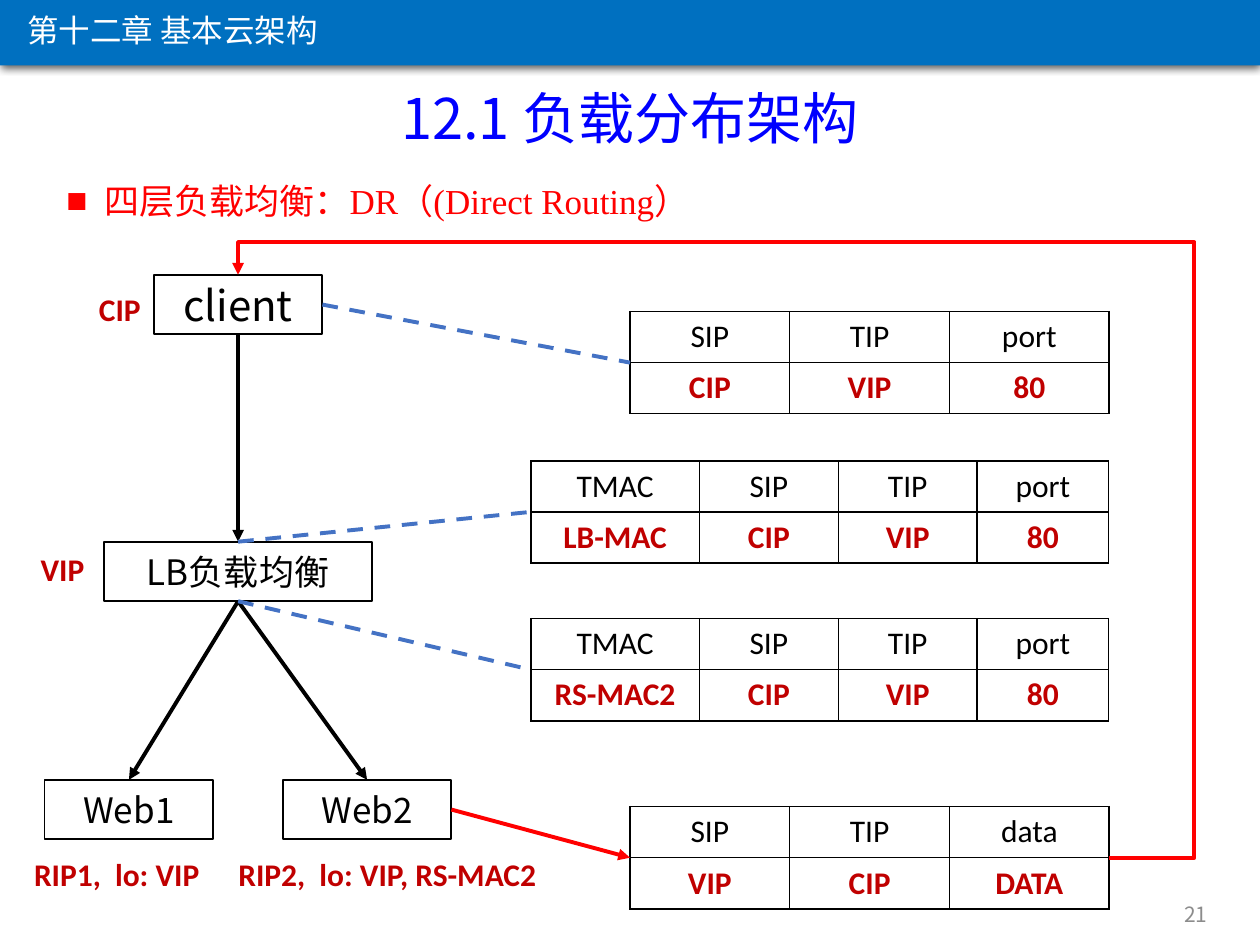
from lxml import etree
from pptx import Presentation
from pptx.dml.color import RGBColor
from pptx.enum.dml import MSO_LINE
from pptx.enum.shapes import MSO_CONNECTOR, MSO_SHAPE
from pptx.enum.text import MSO_ANCHOR, PP_ALIGN
from pptx.oxml.ns import qn
from pptx.util import Cm, Pt

LEFT, CENTER, RIGHT = PP_ALIGN.LEFT, PP_ALIGN.CENTER, PP_ALIGN.RIGHT
TOP, MIDDLE = MSO_ANCHOR.TOP, MSO_ANCHOR.MIDDLE
STRAIGHT, ELBOW = MSO_CONNECTOR.STRAIGHT, MSO_CONNECTOR.ELBOW
RECTANGLE = MSO_SHAPE.RECTANGLE
DASH = MSO_LINE.DASH

SANS, SERIF, LATIN = "Noto Sans CJK SC", "Times New Roman", "Calibri"
COLORS = {
    "white": "FFFFFF", "black": "000000", "banner": "0070C0", "title": "0000FF",
    "red": "FF0000", "address": "C00000", "dash": "4472C4", "number": "8C8C8C",
}
NODE_HEIGHT = 1.2
ROW_HEIGHT = 1.03


def rgb(name):
    return RGBColor.from_string(COLORS[name])


def add_element(parent, tag, **attributes):
    return etree.SubElement(parent, qn(tag), {k: str(v) for k, v in attributes.items()})


def write_text(frame, text, size=18, font=SANS, color="black", bold=False,
               align=CENTER, anchor=TOP, wrap=True):
    frame.word_wrap = wrap
    frame.vertical_anchor = anchor
    paragraph = frame.paragraphs[0]
    paragraph.alignment = align
    run = paragraph.add_run()
    run.text = text
    run.font.size = Pt(size)
    run.font.name = font
    run.font.bold = bold
    run.font.color.rgb = rgb(color)
    add_element(run.font._element, "a:ea", typeface=SANS)
    return paragraph


def add_text(slide, box, text, **text_format):
    shape = slide.shapes.add_textbox(*map(Cm, box))
    return write_text(shape.text_frame, text, **text_format)


def add_rectangle(slide, box, fill, line=None):
    shape = slide.shapes.add_shape(RECTANGLE, *map(Cm, box))
    shape.shadow.inherit = False
    shape.fill.solid()
    shape.fill.fore_color.rgb = rgb(fill)
    if line:
        shape.line.color.rgb = rgb(line)
        shape.line.width = Pt(1)
    else:
        shape.line.fill.background()
    return shape


def add_line(slide, start, end, color, kind=STRAIGHT, arrow=True):
    """Draw an arrow, or a dashed line when arrow is False."""
    connector = slide.shapes.add_connector(kind, *map(Cm, start + end))
    connector.line.color.rgb = rgb(color)
    connector.line.width = Pt(2.25)
    if arrow:
        add_element(connector.line._get_or_add_ln(), "a:tailEnd", type="triangle")
    else:
        connector.line.dash_style = DASH
    add_element(connector._element.spPr, "a:effectLst")
    return connector


def add_return_route(slide, start, end, right, top):
    """Arrow that leaves start to the right, passes over the top and drops to end."""
    connector = add_line(slide, start, end, "red", kind=ELBOW)
    geometry = connector._element.spPr.find(qn("a:prstGeom"))
    geometry.set("prst", "bentConnector4")
    guides = geometry.find(qn("a:avLst"))
    if guides is None:
        guides = add_element(geometry, "a:avLst")
    ratios = [(right - start[0]) / (end[0] - start[0]),
              (top - start[1]) / (end[1] - start[1])]
    for number, ratio in enumerate(ratios, 1):
        add_element(guides, "a:gd", name=f"adj{number}", fmla=f"val {round(ratio * 100000)}")


def add_banner(slide, left, top, width, height):
    banner = add_rectangle(slide, (left, top, width, height), "banner")
    effects = banner._element.spPr.find(qn("a:effectLst"))
    shadow = add_element(effects, "a:outerShdw", blurRad=Pt(4.5), dist=Pt(1.5),
                         dir=90 * 60000, algn="t", rotWithShape=0)
    shade = add_element(shadow, "a:srgbClr", val=COLORS["black"])
    add_element(shade, "a:alpha", val=63000)
    add_text(slide, (left + 0.3, top + 0.15, 6.48, 1.02), "第十二章 基本云架构",
             color="white", align=LEFT, wrap=False)


def add_heading(slide, left, top, width):
    add_text(slide, (left, top, width, 1.62), "12.1 负载分布架构", size=32, color="title")
    paragraph = add_text(slide, (left + 1.09, top + 1.78, width - 1.9, 1.22),
                         "四层负载均衡：DR（(Direct Routing）",
                         size=20, font=SERIF, color="red", align=LEFT)
    properties = paragraph._p.get_or_add_pPr()
    properties.set("marL", str(Cm(0.76)))
    properties.set("indent", str(-Cm(0.76)))
    add_element(properties, "a:buFont", typeface=SERIF)
    add_element(properties, "a:buChar", char="■")
    paragraph.line_spacing = 1.2


def add_topology(slide, left, top):
    """Place the nodes and their addresses; return each node's box by its name."""
    nodes = [
        ("client", 2.69, 0, 3.4, 24),
        ("LB负载均衡", 1.69, 5.38, 5.4, 20),
        ("Web1", 0.49, 10.18, 3.4, 20),
        ("Web2", 5.29, 10.18, 3.4, 20),
    ]
    boxes = {}
    for name, x, y, width, size in nodes:
        boxes[name] = (left + x, top + y, width, NODE_HEIGHT)
        shape = add_rectangle(slide, boxes[name], "white", "black")
        write_text(shape.text_frame, name, size=size, anchor=MIDDLE)

    addresses = [
        ("CIP", 1.32, 0.18, 1.37),
        ("VIP", 0.15, 5.43, 1.4),
        ("RIP1,  lo: VIP", 0, 11.58, 3.89),
        ("RIP2,  lo: VIP, RS-MAC2", 4.11, 11.58, 6.58),
    ]
    for text, x, y, width in addresses:
        add_text(slide, (left + x, top + y, width, 1.02), text,
                 font=LATIN, color="address", bold=True, wrap=False)
    return boxes


def set_borders(cell):
    properties = cell._tc.get_or_add_tcPr()
    for position, side in enumerate(("a:lnL", "a:lnR", "a:lnT", "a:lnB")):
        border = etree.Element(qn(side), w=str(Pt(1)))
        fill = add_element(border, "a:solidFill")
        add_element(fill, "a:srgbClr", val=COLORS["black"])
        properties.insert(position, border)


def add_packet(slide, left, top, widths, fields, values):
    """Place a packet table; return the middles of its left and right edges."""
    frame = slide.shapes.add_table(2, len(widths), Cm(left), Cm(top),
                                   Cm(sum(widths)), Cm(2 * ROW_HEIGHT))
    table = frame.table
    for column, width in zip(table.columns, widths):
        column.width = Cm(width)
    for r, texts in enumerate((fields, values)):
        table.rows[r].height = Cm(ROW_HEIGHT)
        for c, text in enumerate(texts):
            cell = table.cell(r, c)
            cell.fill.background()
            set_borders(cell)
            write_text(cell.text_frame, text, font=LATIN, bold=r == 1,
                       color="address" if r else "black")
    middle = top + ROW_HEIGHT
    return (left, middle), (left + sum(widths), middle)


def top_of(box):
    return box[0] + box[2] / 2, box[1]


def bottom_of(box):
    return box[0] + box[2] / 2, box[1] + box[3]


def right_of(box):
    return box[0] + box[2], box[1] + box[3] / 2


def main():
    presentation = Presentation()
    presentation.slide_width, presentation.slide_height = Cm(25.4), Cm(19.05)
    slide = presentation.slides.add_slide(presentation.slide_layouts[6])

    add_heading(slide, 0, 1.55, 25.4)
    add_banner(slide, 0, -0.05, 25.4, 1.37)
    add_text(slide, (18.87, 17.91, 5.72, 1.02), "21", size=12, color="number",
             align=RIGHT, anchor=MIDDLE)

    boxes = add_topology(slide, 0.41, 5.54)
    client, balancer, web1, web2 = boxes.values()

    short, long = [3.22] * 3, [3.4, 2.8, 2.8, 2.65]
    fields = ["SIP", "TIP", "port"]
    request, _ = add_packet(slide, 12.7, 6.28, short, fields, ["CIP", "VIP", "80"])
    received, _ = add_packet(slide, 10.7, 9.29, long, ["TMAC"] + fields,
                             ["LB-MAC", "CIP", "VIP", "80"])
    forwarded, _ = add_packet(slide, 10.7, 12.47, long, ["TMAC"] + fields,
                              ["RS-MAC2", "CIP", "VIP", "80"])
    reply, reply_exit = add_packet(slide, 12.7, 16.26, short, ["SIP", "TIP", "data"],
                                   ["VIP", "CIP", "DATA"])

    add_line(slide, bottom_of(client), top_of(balancer), "black")
    for web in (web1, web2):
        add_line(slide, bottom_of(balancer), top_of(web), "black")
    add_line(slide, right_of(web2), reply, "red")
    add_return_route(slide, reply_exit, top_of(client), right=24.08, top=4.88)
    for start, end in ((right_of(client), request), (top_of(balancer), received),
                       (bottom_of(balancer), forwarded)):
        add_line(slide, start, end, "dash", arrow=False)

    presentation.save("out.pptx")


if __name__ == "__main__":
    main()
